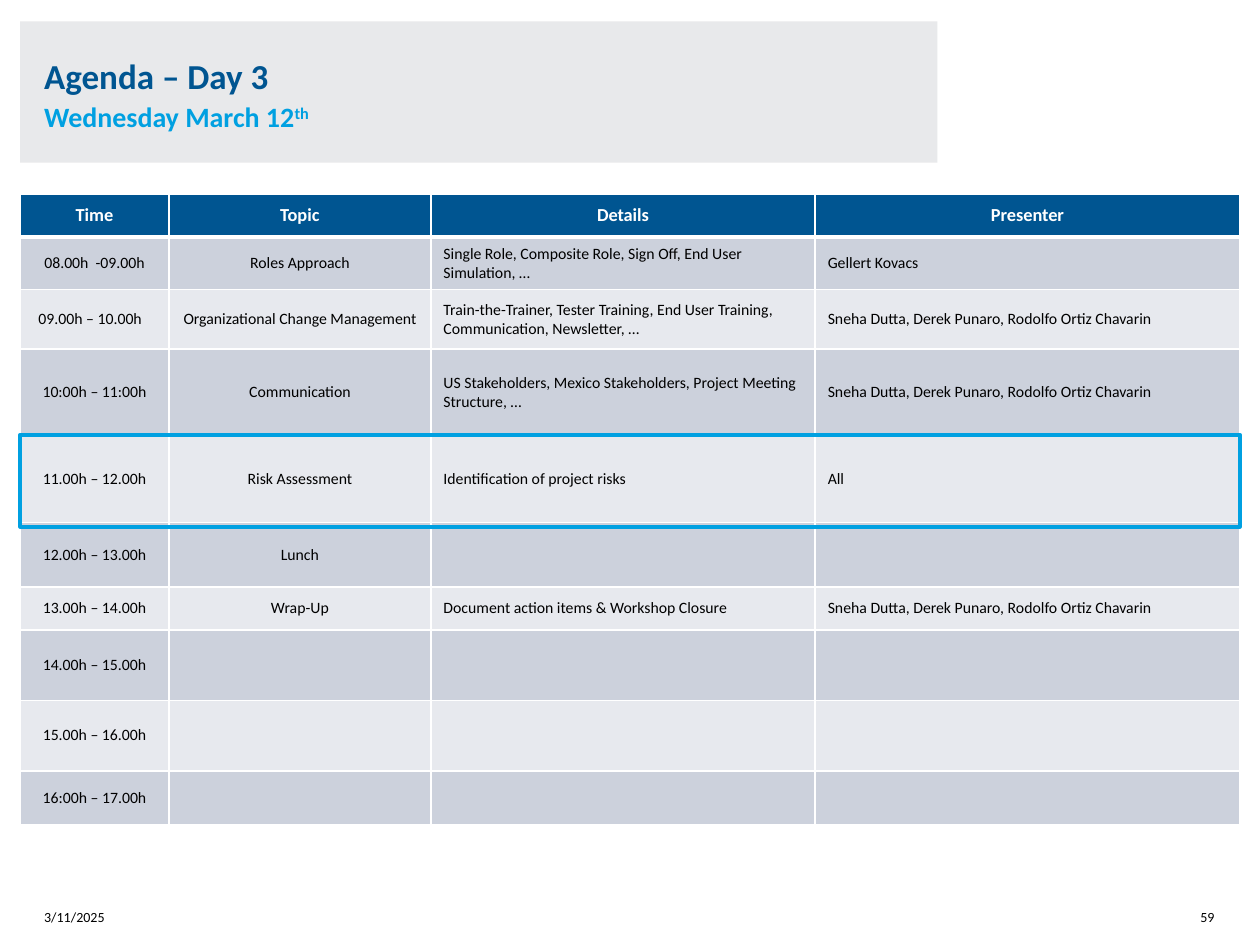
"""Build the Day 3 agenda slide with its timetable and highlighted session."""
import pptx
import pptx.dml.color
import pptx.enum.shapes
import pptx.enum.text
import pptx.oxml
import pptx.oxml.ns
import pptx.util

Inches = pptx.util.Inches
ALIGN = pptx.enum.text.PP_ALIGN
ANCHOR = pptx.enum.text.MSO_ANCHOR

THEME = {
    "font": "Calibri",
    "navy": "005591", "sky": "00A0E1", "white": "FFFFFF", "black": "000000",
    "banner": "E8E9EB", "bands": ("CCD1DC", "E7E9EE"),
    "title": 20, "subtitle": 16, "header": 10.5, "cell": 9, "footer": 8,
}

HEADERS = ("Time", "Topic", "Details", "Presenter")
TEAM = "Sneha Dutta, Derek Punaro, Rodolfo Ortiz Chavarin"
SESSIONS = [
    ("08.00h  -09.00h", "Roles Approach",
     "Single Role, Composite Role, Sign Off, End User Simulation, …", "Gellert Kovacs"),
    ("09.00h – 10.00h", "Organizational Change Management",
     "Train-the-Trainer, Tester Training, End User Training, Communication, Newsletter, …", TEAM),
    ("10:00h – 11:00h", "Communication",
     "US Stakeholders, Mexico Stakeholders, Project Meeting Structure, …", TEAM),
    ("11.00h – 12.00h", "Risk Assessment", "Identification of project risks", "All"),
    ("12.00h – 13.00h", "Lunch", "", ""),
    ("13.00h – 14.00h", "Wrap-Up", "Document action items & Workshop Closure", TEAM),
    ("14.00h – 15.00h", "", "", ""),
    ("15.00h – 16.00h", "", "", ""),
    ("16:00h – 17.00h", "", "", ""),
]
COLUMN_WIDTHS = (1.18, 2.08, 3.05, 3.37)
ROW_HEIGHTS = (0.34, 0.42, 0.47, 0.69, 0.69, 0.51, 0.34, 0.56, 0.56, 0.43)
LEFT, TABLE_TOP = 0.16, 1.54
BANNER = (LEFT, 0.17, 7.28, 1.12)
CURRENT_ROW = 4
FOOTERS = [
    ("3/11/2025", (0.35, 7.06, 0.79, 0.28), ALIGN.LEFT, True),
    ("59", (9.25, 7.06, 0.39, 0.28), ALIGN.RIGHT, False),
]


def color(value):
    return pptx.dml.color.RGBColor.from_string(value)


def write(para, text, size, fill="black", bold=False, align=ALIGN.LEFT, baseline=None):
    para.alignment = align
    span = para.add_run()
    span.text = text
    span.font.name = THEME["font"]
    span.font.size = pptx.util.Pt(THEME[size])
    span.font.bold = bold
    span.font.color.rgb = color(THEME[fill])
    if baseline:
        span.font._element.set("baseline", str(baseline * 1000))


def set_frame(frame, anchor, side=0, wrap=True):
    frame.auto_size = pptx.enum.text.MSO_AUTO_SIZE.NONE
    frame.word_wrap = wrap
    frame.vertical_anchor = anchor
    frame.margin_left = frame.margin_right = Inches(side)
    frame.margin_top = frame.margin_bottom = 0


def add_box(page, bounds):
    box = page.shapes.add_shape(
        pptx.enum.shapes.MSO_SHAPE.RECTANGLE, *map(Inches, bounds))
    box.shadow.inherit = False
    return box


def add_title(page):
    banner = add_box(page, BANNER)
    banner.fill.solid()
    banner.fill.fore_color.rgb = color(THEME["banner"])
    banner.line.fill.background()
    title = page.shapes.title
    title.element.addprevious(banner.element)
    title.left, title.top, title.width, title.height = map(Inches, BANNER)
    set_frame(title.text_frame, ANCHOR.MIDDLE, side=0.19)
    para = title.text_frame.paragraphs[0]
    para.line_spacing = 1.1
    write(para, "Agenda – Day 3", "title", fill="navy", bold=True)
    para.add_line_break()
    write(para, "Wednesday March 12", "subtitle", fill="sky", bold=True)
    write(para, "th", "subtitle", fill="sky", bold=True, baseline=30)


def set_borders(cell, bottom):
    properties = cell._tc.get_or_add_tcPr()
    for side, points in (("L", 1), ("R", 1), ("T", 1), ("B", bottom)):
        properties.append(pptx.oxml.parse_xml(
            f'<a:ln{side} {pptx.oxml.ns.nsdecls("a")} w="{pptx.util.Pt(points)}">'
            f'<a:solidFill><a:srgbClr val="{THEME["white"]}"/></a:solidFill></a:ln{side}>'))


def add_agenda(page):
    rows = [HEADERS] + SESSIONS
    table = page.shapes.add_table(
        len(rows), len(HEADERS), Inches(LEFT), Inches(TABLE_TOP),
        Inches(sum(COLUMN_WIDTHS)), Inches(sum(ROW_HEIGHTS))).table
    for column, width in zip(table.columns, COLUMN_WIDTHS):
        column.width = Inches(width)
    for row_index, (texts, height) in enumerate(zip(rows, ROW_HEIGHTS)):
        table.rows[row_index].height = Inches(height)
        header = row_index == 0
        for column_index, text in enumerate(texts):
            cell = table.cell(row_index, column_index)
            cell.vertical_anchor = ANCHOR.MIDDLE
            set_borders(cell, 3 if header or row_index == 0 else 1)
            cell.fill.solid()
            cell.fill.fore_color.rgb = color(
                THEME["navy"] if header else THEME["bands"][(row_index - 1) % 2])
            if text:
                write(cell.text_frame.paragraphs[0], text,
                      "header" if header else "cell",
                      fill="white" if header else "black", bold=header,
                      align=ALIGN.CENTER if header or column_index < 2 else ALIGN.LEFT)
    table.cell(2, 0).margin_right = Inches(0.17)


def add_highlight(page):
    top = TABLE_TOP + sum(ROW_HEIGHTS[:CURRENT_ROW])
    frame = add_box(page, (LEFT, top - 0.01, sum(COLUMN_WIDTHS), 0.73))
    frame.fill.background()
    frame.line.color.rgb = color(THEME["sky"])
    frame.line.width = pptx.util.Pt(2.25)


def add_footers(page):
    for text, bounds, align, wrap in FOOTERS:
        box = page.shapes.add_textbox(*map(Inches, bounds))
        set_frame(box.text_frame, ANCHOR.BOTTOM, wrap=wrap)
        write(box.text_frame.paragraphs[0], text, "footer", align=align)


def main():
    deck = pptx.Presentation()
    deck.slide_width, deck.slide_height = Inches(10), Inches(7.5)
    page = deck.slides.add_slide(deck.slide_layouts[5])
    add_title(page)
    add_footers(page)
    add_agenda(page)
    add_highlight(page)
    deck.save("out.pptx")


if __name__ == "__main__":
    main()
